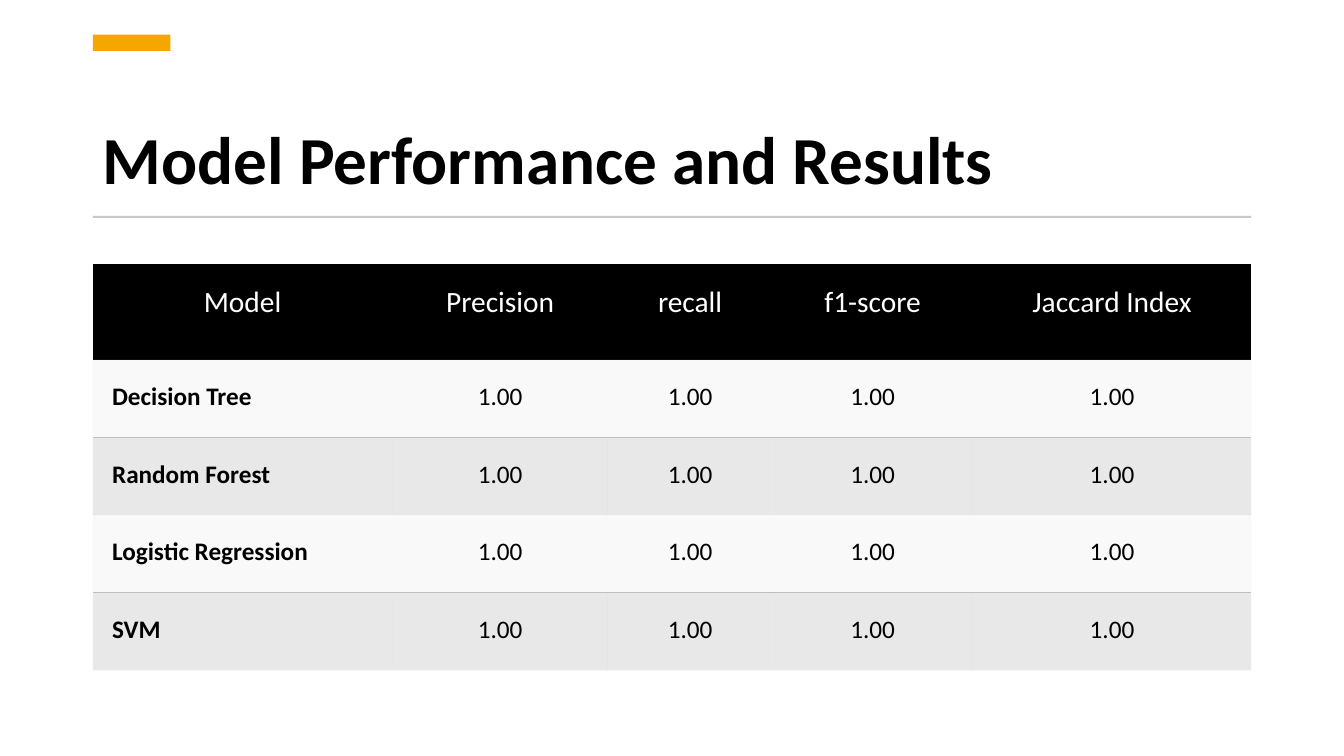
from lxml import etree
from pptx import Presentation
from pptx.dml.color import RGBColor
from pptx.enum.shapes import MSO_SHAPE
from pptx.enum.text import MSO_ANCHOR, PP_ALIGN
from pptx.oxml.ns import qn
from pptx.util import Pt

RECTANGLE = MSO_SHAPE.RECTANGLE
MIDDLE, BOTTOM = MSO_ANCHOR.MIDDLE, MSO_ANCHOR.BOTTOM
LEFT, CENTER = PP_ALIGN.LEFT, PP_ALIGN.CENTER

BLACK = RGBColor(0x00, 0x00, 0x00)
WHITE = RGBColor(0xFF, 0xFF, 0xFF)
ORANGE = RGBColor(0xF5, 0xA7, 0x00)
RULE_GRAY = RGBColor(0xC9, 0xC9, 0xC9)
LIGHT_GRAY = RGBColor(0xF2, 0xF2, 0xF2)
MID_GRAY = RGBColor(0xBF, 0xBF, 0xBF)

TITLE = "Model Performance and Results"
HEADINGS = ["Model", "Precision", "recall", "f1-score", "Jaccard Index"]
SCORES = [
    ("Decision Tree", "1.00", "1.00", "1.00", "1.00"),
    ("Random Forest", "1.00", "1.00", "1.00", "1.00"),
    ("Logistic Regression", "1.00", "1.00", "1.00", "1.00"),
    ("SVM", "1.00", "1.00", "1.00", "1.00"),
]

FONT = "Calibri"
MARGIN, CONTENT_WIDTH = 66.4, 827.3
COLUMN_WIDTHS = [213.8, 154.1, 117.4, 143.3, 198.7]
HEADER_HEIGHT, ROW_HEIGHT = 68.4, 55.45
TABLE_TOP = 188.6
ACCENTS = [
    (MARGIN, 24.8, 55.4, 11.5, ORANGE),
    (MARGIN, 154.2, CONTENT_WIDTH, 1.4, RULE_GRAY),
]
HEADER_FORMAT = {
    "vertical_anchor": MIDDLE,
    "margin_left": Pt(26.6),
    "margin_top": Pt(10.8),
    "margin_right": Pt(26.6),
    "margin_bottom": Pt(26.6),
}
BODY_FORMAT = {
    "vertical_anchor": BOTTOM,
    "margin_left": Pt(13.7),
    "margin_top": Pt(10.8),
    "margin_right": Pt(13.7),
    "margin_bottom": Pt(18),
}


def apply_format(target, values):
    for name, value in values.items():
        setattr(target, name, value)


def write(paragraph, text, size, color, bold, align, spacing):
    apply_format(paragraph, {"alignment": align, "line_spacing": spacing})
    run = paragraph.add_run()
    run.text = text
    apply_format(run.font, {"name": FONT, "size": Pt(size), "bold": bold})
    run.font.color.rgb = color


def fill_cell(cell, color, opacity):
    cell.fill.solid()
    cell.fill.fore_color.rgb = color
    if opacity < 100:
        tint = cell._tc.tcPr.find(".//" + qn("a:srgbClr"))
        etree.SubElement(tint, qn("a:alpha"), val=str(opacity * 1000))


def set_borders(cell, ruled_side):
    for index, side in enumerate(("lnL", "lnR", "lnT", "lnB")):
        border = etree.Element(qn("a:" + side), w=str(Pt(1)))
        if side == ruled_side:
            ink = etree.SubElement(border, qn("a:solidFill"))
            etree.SubElement(ink, qn("a:srgbClr"), val=str(MID_GRAY))
        else:
            etree.SubElement(border, qn("a:noFill"))
        cell._tc.tcPr.insert(index, border)


def add_title(slide):
    title = slide.shapes.add_textbox(
        Pt(MARGIN), Pt(54), Pt(CONTENT_WIDTH), Pt(91.4)
    ).text_frame
    apply_format(title, {"word_wrap": True, "vertical_anchor": BOTTOM})
    write(title.paragraphs[0], TITLE, 48, BLACK, True, LEFT, 0.9)


def add_accents(slide):
    for left, top, width, height, color in ACCENTS:
        accent = slide.shapes.add_shape(
            RECTANGLE, Pt(left), Pt(top), Pt(width), Pt(height)
        )
        accent.shadow.inherit = False
        accent.fill.solid()
        accent.fill.fore_color.rgb = color
        accent.line.fill.background()


def add_scores(slide):
    rows = [HEADINGS, *SCORES]
    height = HEADER_HEIGHT + ROW_HEIGHT * len(SCORES)
    scores = slide.shapes.add_table(
        len(rows), len(HEADINGS),
        Pt(MARGIN), Pt(TABLE_TOP), Pt(CONTENT_WIDTH), Pt(height),
    ).table
    apply_format(scores, {"first_row": False, "horz_banding": False})
    for column, width in zip(scores.columns, COLUMN_WIDTHS):
        column.width = Pt(width)

    for r, values in enumerate(rows):
        header = r == 0
        scores.rows[r].height = Pt(HEADER_HEIGHT if header else ROW_HEIGHT)
        if header:
            color, opacity, ruled_side = BLACK, 100, None
        elif r % 2:
            color, opacity, ruled_side = LIGHT_GRAY, 45, "lnB"
        else:
            color, opacity, ruled_side = MID_GRAY, 35, "lnT"
        for c, text in enumerate(values):
            model_name = c == 0 and not header
            cell = scores.cell(r, c)
            apply_format(cell, HEADER_FORMAT if header else BODY_FORMAT)
            fill_cell(cell, color, opacity)
            set_borders(cell, ruled_side)
            write(
                cell.text_frame.paragraphs[0], text,
                21 if header else 18, WHITE if header else BLACK,
                model_name, LEFT if model_name else CENTER, 1.07,
            )


def main():
    deck = Presentation()
    apply_format(deck, {"slide_width": Pt(960), "slide_height": Pt(540)})
    slide = deck.slides.add_slide(deck.slide_layouts[6])
    add_title(slide)
    add_accents(slide)
    add_scores(slide)
    deck.save("out.pptx")


if __name__ == "__main__":
    main()
